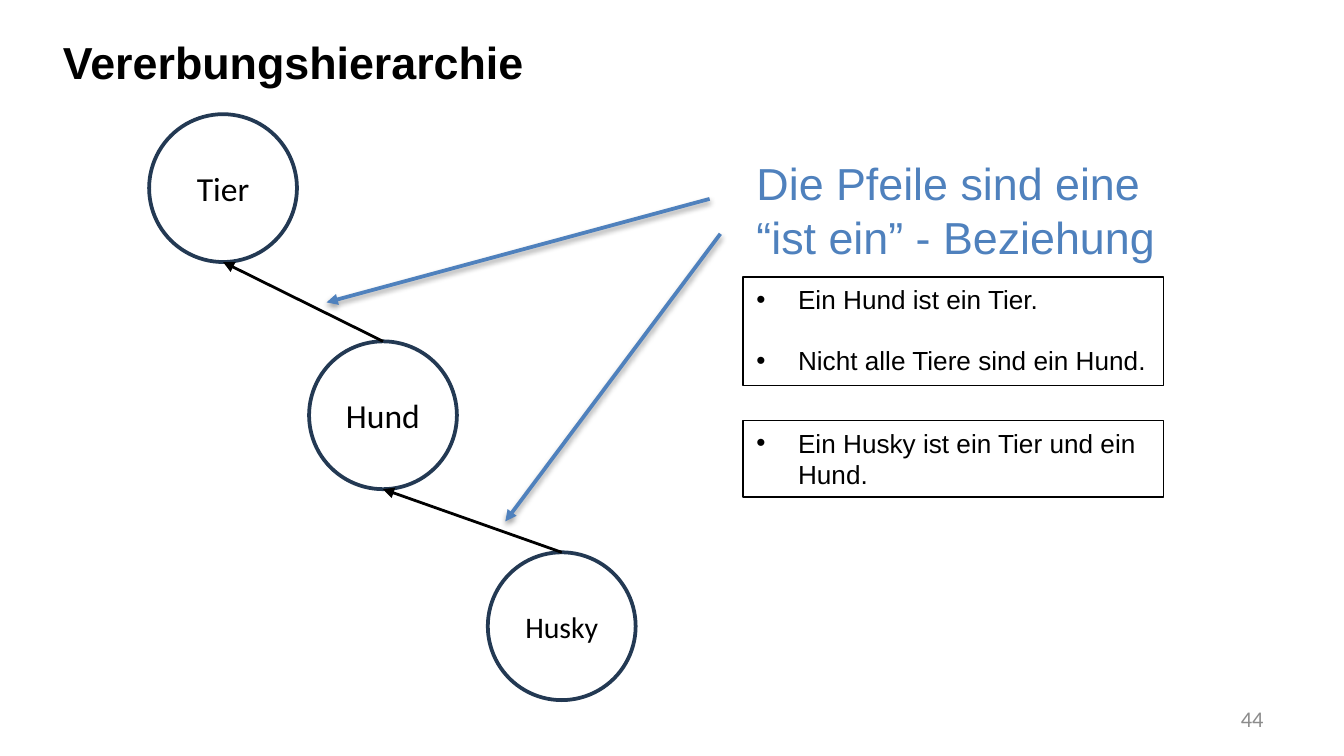
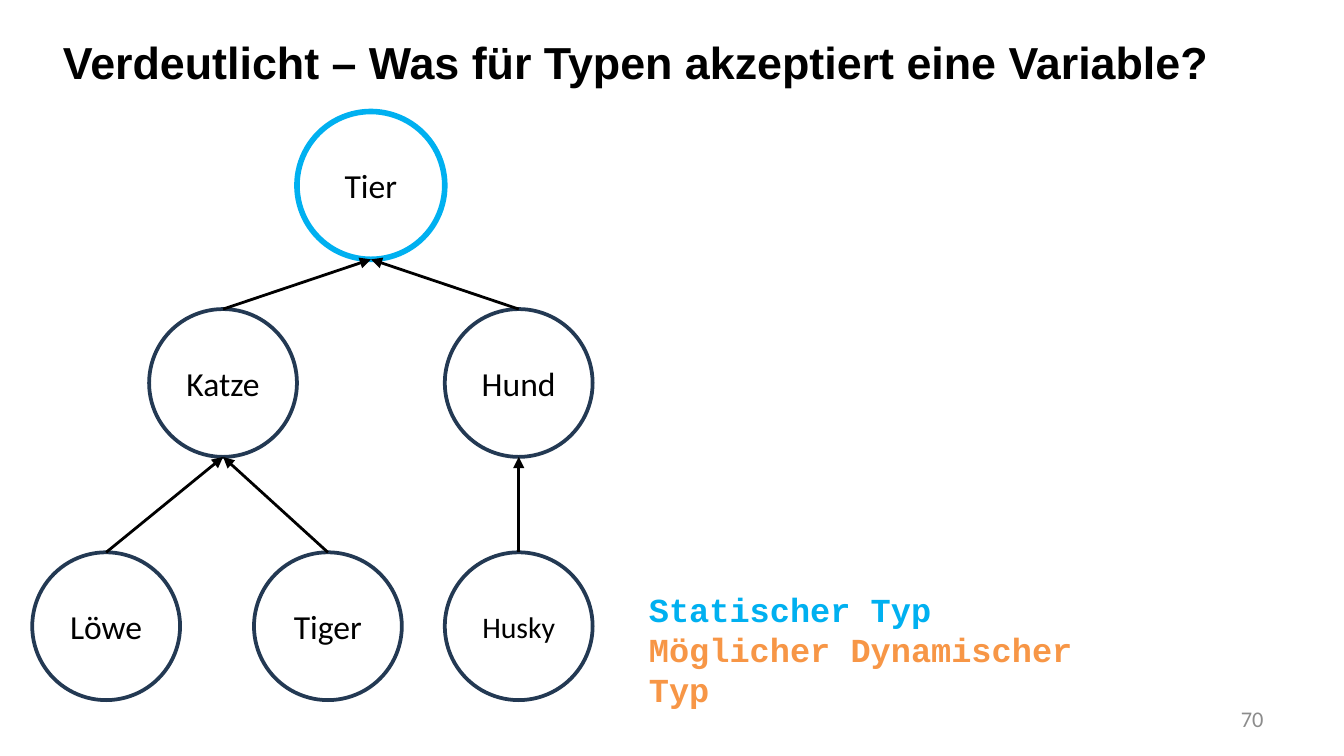
import pptx
import pptx.util
import pptx.dml.color
import pptx.enum.shapes
import pptx.enum.text
import pptx.oxml
import pptx.oxml.ns

Inches, Pt = pptx.util.Inches, pptx.util.Pt
SHAPE = pptx.enum.shapes.MSO_SHAPE
STRAIGHT = pptx.enum.shapes.MSO_CONNECTOR.STRAIGHT
ALIGN = pptx.enum.text.PP_ALIGN
MIDDLE = pptx.enum.text.MSO_ANCHOR.MIDDLE
NS = pptx.oxml.ns.nsdecls("a")

BLACK, WHITE, GREY = "000000", "FFFFFF", "8C8C8C"
NAVY, BLUE, CYAN, ORANGE = "233953", "4F81BD", "00B0F0", "F79646"
D = 1.1
SHADOW = (f'<a:effectLst {NS}><a:outerShdw blurRad="40000" dist="20000" dir="5400000" rotWithShape="0">'
          '<a:srgbClr val="000000"><a:alpha val="38000"/></a:srgbClr></a:outerShdw></a:effectLst>')


def rgb(color):
    return pptx.dml.color.RGBColor.from_string(color)


def text(tf, content, size, color=BLACK, font="Arial", bold=False, align=ALIGN.LEFT,
         before=0, after=0, spacing=None, bullet=False):
    tf.word_wrap = True
    p = tf.paragraphs[0] if not tf.text else tf.add_paragraph()
    if bullet:
        pPr = p._p.get_or_add_pPr()
        pPr.set("marL", str(Inches(0.31)))
        pPr.set("indent", str(-Inches(0.31)))
        for xml in ('<a:buFont %s typeface="Arial"/>', '<a:buChar %s char="•"/>'):
            pPr.append(pptx.oxml.parse_xml(xml % NS))
    p.alignment = align
    p.space_before, p.space_after = Pt(before), Pt(after)
    if spacing:
        p.line_spacing = spacing
    r = p.add_run()
    r.text = content
    r.font.size, r.font.name, r.font.bold = Pt(size), font, bold
    r.font.color.rgb = rgb(color)


prs = pptx.Presentation()
prs.slide_width, prs.slide_height = Inches(10), Inches(5.625)

pages = [
    ("Vererbungshierarchie", "44",
     {"Tier": (1.11, 0.85, NAVY, 2), "Hund": (2.3, 2.54, NAVY, 2), "Husky": (3.63, 4.11, NAVY, 2)},
     [("Hund", "Tier"), ("Husky", "Hund")],
     [(5.28, 1.48, 2.43, 2.25), (5.36, 1.74, 3.76, 3.88)]),
    ("Verdeutlicht – Was für Typen akzeptiert eine Variable?", "70",
     {"Tier": (2.21, 0.83, CYAN, 3), "Katze": (1.11, 2.3, NAVY, 2), "Hund": (3.31, 2.3, NAVY, 2),
      "Löwe": (0.24, 4.11, NAVY, 2), "Tiger": (1.89, 4.11, NAVY, 2), "Husky": (3.31, 4.11, NAVY, 2)},
     [("Katze", "Tier"), ("Hund", "Tier"), ("Löwe", "Katze"), ("Tiger", "Katze"), ("Husky", "Hund")],
     []),
]

for title, number, animals, parents, pointers in pages:
    s = prs.slides.add_slide(prs.slide_layouts[6])
    sp = s.shapes.add_textbox(Inches(0.37), Inches(0.21), Inches(9.03), Inches(0.5))
    text(sp.text_frame, title, 24, bold=True)
    sp = s.shapes.add_textbox(Inches(7.17), Inches(5.21), Inches(2.33), Inches(0.3))
    sp.text_frame.vertical_anchor = MIDDLE
    text(sp.text_frame, number, 12, GREY, "Calibri", align=ALIGN.RIGHT, after=6, spacing=0.9)

    circles = {}
    for name, (x, y, color, width) in animals.items():
        sp = s.shapes.add_shape(SHAPE.OVAL, Inches(x), Inches(y), Inches(D), Inches(D))
        sp.shadow.inherit = False
        sp.fill.solid()
        sp.fill.fore_color.rgb = rgb(WHITE)
        sp.line.color.rgb, sp.line.width = rgb(color), Pt(width)
        sp.text_frame.vertical_anchor = MIDDLE
        text(sp.text_frame, name, 16 if name == "Husky" else 18, font="Calibri", align=ALIGN.CENTER)
        circles[name] = sp

    arrows = []
    for child, parent in parents:
        x1, y1 = animals[child][:2]
        x2, y2 = animals[parent][:2]
        arrows.append((x1 + D / 2, y1, x2 + D / 2, y2 + D, BLACK, 1.5, circles[child]))
    arrows += [(*ends, BLUE, 2, None) for ends in pointers]
    for x1, y1, x2, y2, color, width, start in arrows:
        cx = s.shapes.add_connector(STRAIGHT, Inches(x1), Inches(y1), Inches(x2), Inches(y2))
        if start:
            cx.begin_connect(start, 0)
        cx.line.color.rgb, cx.line.width = rgb(color), Pt(width)
        cx.line._get_or_add_ln().append(pptx.oxml.parse_xml(f'<a:tailEnd {NS} type="triangle"/>'))
        effect = f"<a:effectLst {NS}/>" if start else SHADOW
        cx._element.spPr.append(pptx.oxml.parse_xml(effect))

s = prs.slides[0]
sp = s.shapes.add_textbox(Inches(5.53), Inches(1.11), Inches(3.28), Inches(0.91))
text(sp.text_frame, "Die Pfeile sind eine “ist ein” - Beziehung", 24, BLUE)

for y, h, facts in [(2.06, 0.81, ["Ein Hund ist ein Tier.", "Nicht alle Tiere sind ein Hund."]),
                    (3.13, 0.57, ["Ein Husky ist ein Tier und ein Hund."])]:
    sp = s.shapes.add_textbox(Inches(5.53), Inches(y), Inches(3.13), Inches(h))
    sp.line.color.rgb, sp.line.width = rgb(BLACK), Pt(0.75)
    for i, fact in enumerate(facts):
        text(sp.text_frame, fact, 14, before=16 * i, bullet=True)

s = prs.slides[1]
sp = s.shapes.add_textbox(Inches(4.73), Inches(4.33), Inches(3.38), Inches(0.71))
for label, color in [("Statischer Typ", CYAN), ("Möglicher Dynamischer Typ", ORANGE)]:
    text(sp.text_frame, label, 18, color, "Courier New", bold=True)

prs.save("out.pptx")
